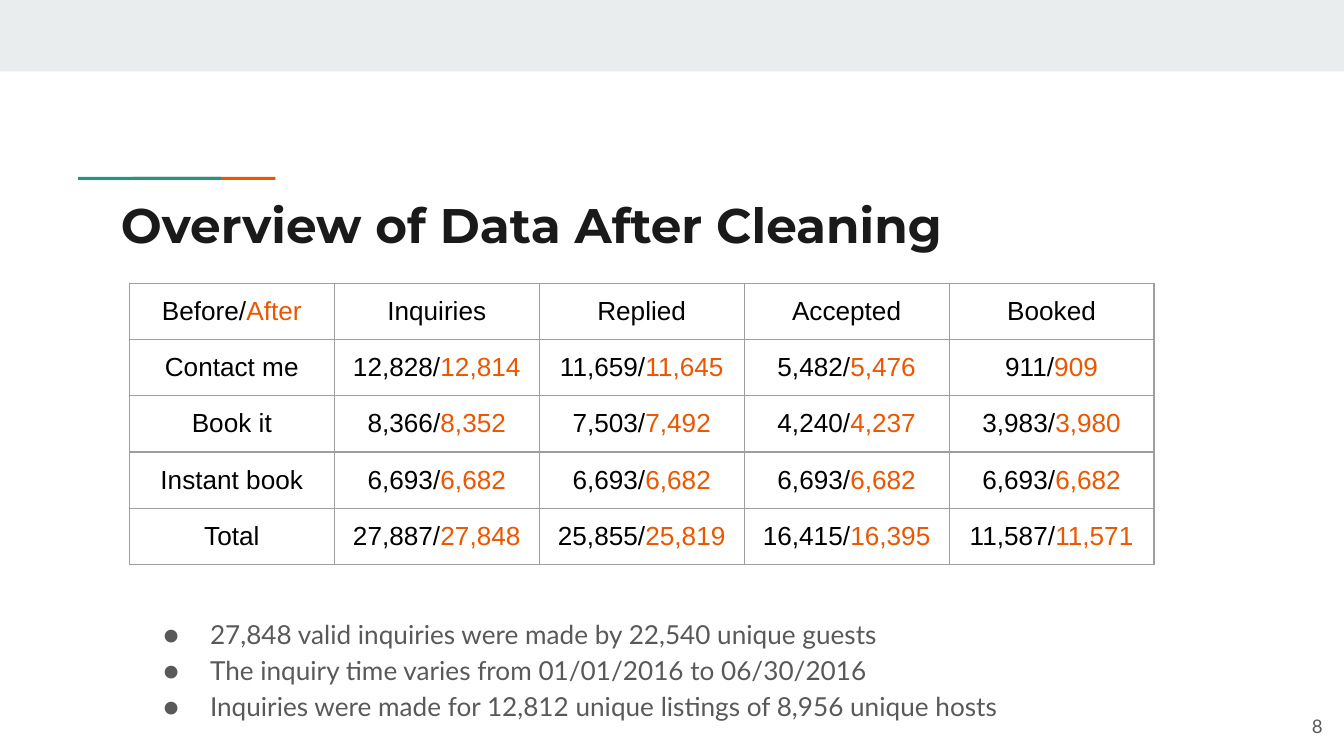
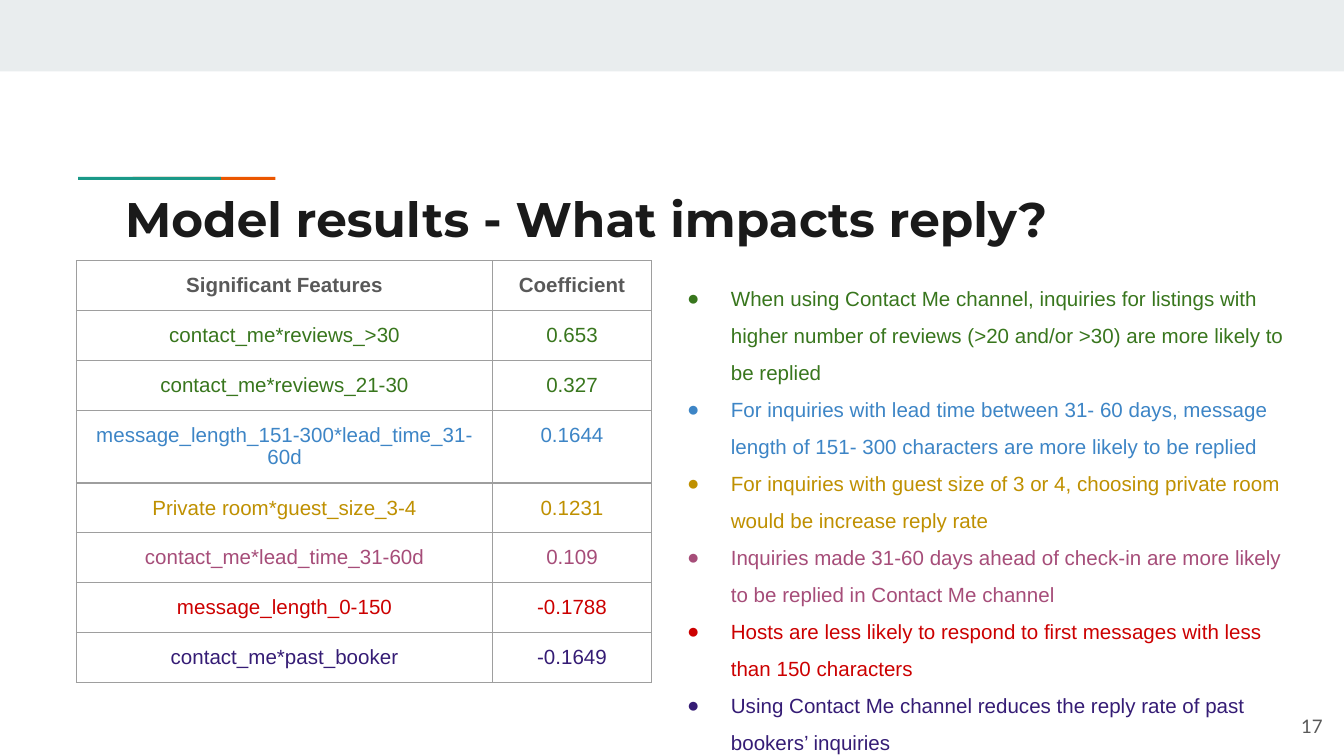
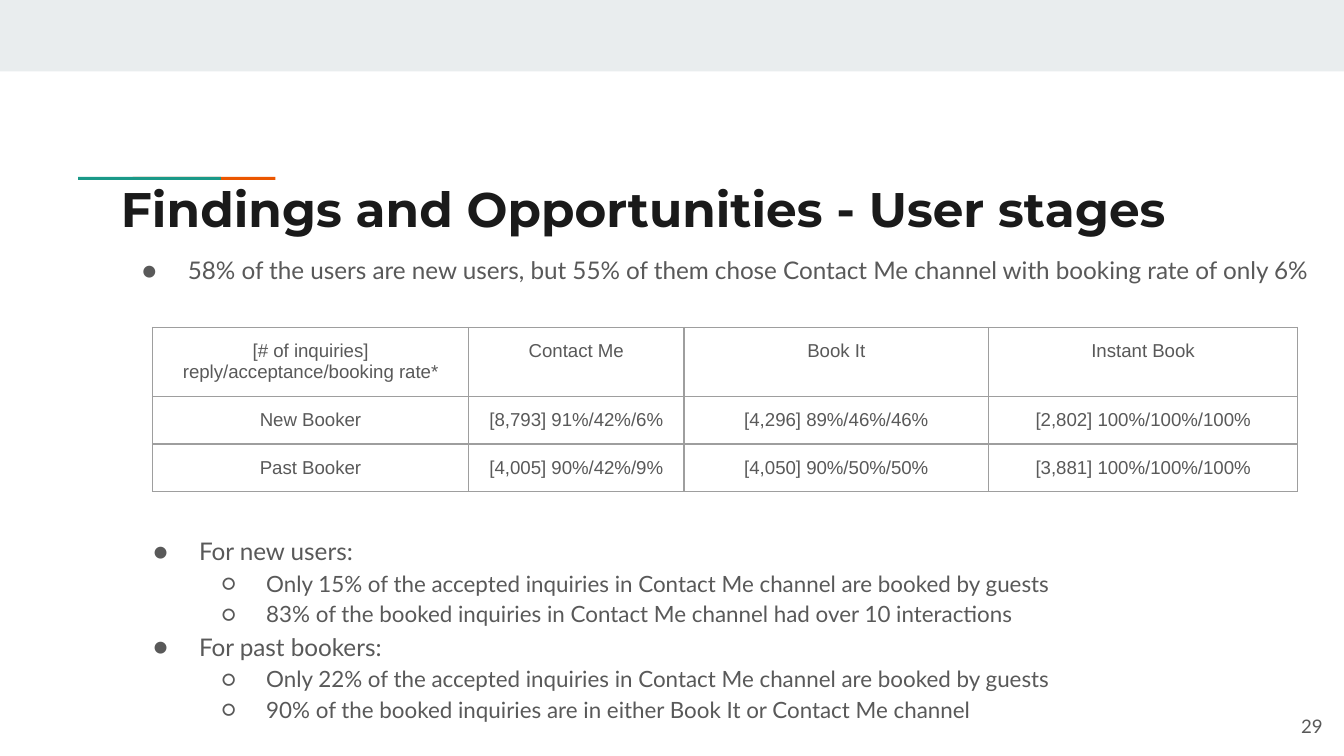
import pptx
import pptx.util
import pptx.dml.color
import pptx.enum.shapes
import pptx.enum.text
import pptx.oxml

Pt = pptx.util.Pt
RGBColor = pptx.dml.color.RGBColor
LEFT = pptx.enum.text.PP_ALIGN.LEFT
CENTER = pptx.enum.text.PP_ALIGN.CENTER
RIGHT = pptx.enum.text.PP_ALIGN.RIGHT

BAND = RGBColor(0xE9, 0xED, 0xEE)
ORANGE = RGBColor(0xEB, 0x56, 0x00)
TEAL = RGBColor(0x1A, 0x99, 0x88)
INK = RGBColor(0x1A, 0x1A, 0x1A)
BLACK = RGBColor(0x00, 0x00, 0x00)
GREY = RGBColor(0x59, 0x59, 0x59)
BORDER = RGBColor(0x9E, 0x9E, 0x9E)
GREEN = RGBColor(0x38, 0x76, 0x1D)
BLUE = RGBColor(0x3D, 0x85, 0xC6)
GOLD = RGBColor(0xBF, 0x90, 0x00)
PLUM = RGBColor(0xA6, 0x4D, 0x79)
RED = RGBColor(0xCC, 0x00, 0x00)
INDIGO = RGBColor(0x35, 0x1C, 0x75)

INSET = Pt(7.2)
NAMESPACE = 'xmlns:a="http://schemas.openxmlformats.org/drawingml/2006/main"'


def write_text(box, items, font, spacing=1.0, align=LEFT, bold=False, bullets=True):
    frame = box.text_frame
    frame.word_wrap = True
    frame.auto_size = pptx.enum.text.MSO_AUTO_SIZE.NONE
    frame.vertical_anchor = pptx.enum.text.MSO_ANCHOR.TOP
    frame.margin_left = frame.margin_right = INSET
    frame.margin_top = frame.margin_bottom = INSET
    frame.text = "\n".join(item[0] for item in items)
    for para, (text, level, size, colour) in zip(frame.paragraphs, items):
        para.level = level
        para.alignment = align
        para.line_spacing = spacing
        para.space_before = para.space_after = Pt(0)
        for span in para.runs:
            span.font.name = font
            span.font.size = Pt(size)
            span.font.bold = bold
            span.font.color.rgb = colour
        if bullets:
            properties = para._p.get_or_add_pPr()
            properties.set("marL", str(Pt(36 * (level + 1))))
            properties.set("indent", str(-Pt(18 + size / 2)))
            for part in (
                f'<a:buClr {NAMESPACE}><a:srgbClr val="{colour}"/></a:buClr>',
                f'<a:buFont {NAMESPACE} typeface="{font}"/>',
                f'<a:buChar {NAMESPACE} char="{"●○"[level]}"/>',
            ):
                properties.append(pptx.oxml.parse_xml(part))


def draw_table(page, left, top, widths, heights, rows, size):
    frame = page.shapes.add_table(len(rows), len(widths), Pt(left), Pt(top),
                                  Pt(sum(widths)), Pt(sum(heights)))
    table = frame.table
    table.first_row = table.horz_banding = False
    for column, width in zip(table.columns, widths):
        column.width = Pt(width)
    for row, height, contents in zip(table.rows, heights, rows):
        row.height = Pt(height)
        for cell, spans in zip(row.cells, contents):
            cell.margin_left = cell.margin_right = INSET
            cell.margin_top = cell.margin_bottom = INSET
            para = cell.text_frame.paragraphs[0]
            para.alignment = CENTER
            for text, colour, bold in spans:
                span = para.add_run()
                span.text = text
                span.font.name = "Arial"
                span.font.size = Pt(size)
                span.font.bold = bold
                span.font.color.rgb = colour
            properties = cell._tc.get_or_add_tcPr()
            for side in "LRTB":
                properties.append(pptx.oxml.parse_xml(
                    f'<a:ln{side} {NAMESPACE} w="{Pt(0.75)}"><a:solidFill>'
                    f'<a:srgbClr val="{BORDER}"/></a:solidFill></a:ln{side}>'))
            cell.fill.background()


deck = pptx.Presentation()
deck.slide_width = Pt(720)
deck.slide_height = Pt(405)

CONTENT, TITLE_ONLY = deck.slide_layouts[1], deck.slide_layouts[5]
pages = []
for layout, number, title, left, top, height in [
    (CONTENT, 8, "Overview of Data After Cleaning", 57.6, 97.2, 42.5),
    (TITLE_ONLY, 17, "Model results - What impacts reply?", 59.8, 94.3, 42.5),
    (CONTENT, 29, "Findings and Opportunities - User stages", 57.6, 88.6, 36.7),
]:
    page = deck.slides.add_slide(layout)
    pages.append(page)
    for x, y, width, depth, colour in [
        (0, 0, 720, 38.3, BAND),
        (71, 94.8, 76.5, 1.6, ORANGE),
        (41.8, 94.8, 76.5, 1.6, TEAL),
    ]:
        bar = page.shapes.add_shape(pptx.enum.shapes.MSO_SHAPE.RECTANGLE,
                                    Pt(x), Pt(y), Pt(width), Pt(depth))
        bar.shadow.inherit = False
        bar.fill.solid()
        bar.fill.fore_color.rgb = colour
        bar.line.fill.background()
    heading = page.shapes.title
    heading.left, heading.top = Pt(left), Pt(top)
    heading.width, heading.height = Pt(605.5), Pt(height)
    write_text(heading, [(title, 0, 26, INK)], "Montserrat", bold=True, bullets=False)
    footer = page.shapes.add_textbox(Pt(672.5), Pt(373.7), Pt(43.2), Pt(31))
    write_text(footer, [(str(number), 0, 10, GREY)], "Lato", align=RIGHT, bullets=False)
    footer.text_frame.vertical_anchor = pptx.enum.text.MSO_ANCHOR.MIDDLE

overview, model, findings = pages

counts = [
    ["Before/After", "Inquiries", "Replied", "Accepted", "Booked"],
    ["Contact me", "12,828/12,814", "11,659/11,645", "5,482/5,476", "911/909"],
    ["Book it", "8,366/8,352", "7,503/7,492", "4,240/4,237", "3,983/3,980"],
    ["Instant book"] + ["6,693/6,682"] * 4,
    ["Total", "27,887/27,848", "25,855/25,819", "16,415/16,395", "11,587/11,571"],
]
count_rows = []
for row in counts:
    cells = []
    for text in row:
        before, slash, after = text.partition("/")
        spans = [(before + slash, BLACK, False)]
        if after:
            spans.append((after, ORANGE, False))
        cells.append(spans)
    count_rows.append(cells)
draw_table(overview, 69.3, 151.7, [109.8] * 5, [30.1] * 5, count_rows, 14)

body = overview.placeholders[1]
body.left, body.top, body.width, body.height = Pt(69.3), Pt(321.8), Pt(605.5), Pt(42.5)
write_text(body, [(text, 0, 14, GREY) for text in [
    "27,848 valid inquiries were made by 22,540 unique guests",
    "The inquiry time varies from 01/01/2016 to 06/30/2016",
    "Inquiries were made for 12,812 unique listings of 8,956 unique hosts",
]], "Lato", 1.15)

features = [
    ("Significant Features", "Coefficient", GREY),
    ("contact_me*reviews_>30", "0.653", GREEN),
    ("contact_me*reviews_21-30", "0.327", GREEN),
    ("message_length_151-300*lead_time_31-60d", "0.1644", BLUE),
    ("Private room*guest_size_3-4", "0.1231", GOLD),
    ("contact_me*lead_time_31-60d", "0.109", PLUM),
    ("message_length_0-150", "-0.1788", RED),
    ("contact_me*past_booker", "-0.1649", INDIGO),
]
feature_rows = [[[(text, colour, colour == GREY)] for text in (feature, coefficient)]
                for feature, coefficient, colour in features]
draw_table(model, 41, 139.7, [223, 85], [26.6] * 3 + [39.1] + [26.6] * 4, feature_rows, 11)

insights = model.shapes.add_textbox(Pt(348.5), Pt(139.7), Pt(355), Pt(242.6))
write_text(insights, [(text, 0, 11, colour) for text, colour in [
    ("When using Contact Me channel, inquiries for listings with higher number of "
     "reviews (>20 and/or >30) are more likely to be replied", GREEN),
    ("For inquiries with lead time between 31- 60 days, message length of 151- 300 "
     "characters are more likely to be replied", BLUE),
    ("For inquiries with guest size of 3 or 4, choosing private room would be "
     "increase reply rate", GOLD),
    ("Inquiries made 31-60 days ahead of check-in are more likely to be replied in "
     "Contact Me channel", PLUM),
    ("Hosts are less likely to respond to first messages with less than 150 "
     "characters", RED),
    ("Using Contact Me channel reduces the reply rate of past bookers’ inquiries", INDIGO),
]], "Arial", 1.5)

summary = findings.shapes.add_textbox(Pt(57.6), Pt(127.4), Pt(651), Pt(23))
write_text(summary, [(
    "58% of the users are new users, but 55% of them chose Contact Me channel with "
    "booking rate of only 6%", 0, 13, GREY)], "Lato", 1.15)

rates = [
    ["[# of inquiries] reply/acceptance/booking rate*", "Contact Me", "Book It", "Instant Book"],
    ["New Booker", "[8,793] 91%/42%/6%", "[4,296] 89%/46%/46%", "[2,802] 100%/100%/100%"],
    ["Past Booker", "[4,005] 90%/42%/9%", "[4,050] 90%/50%/50%", "[3,881] 100%/100%/100%"],
]
rate_rows = [[[(text, GREY, False)] for text in row] for row in rates]
draw_table(findings, 81.7, 175.5, [169.3, 115.4, 163.2, 165.5], [36.7, 25.4, 25.4], rate_rows, 10)

body = findings.placeholders[1]
body.left, body.top, body.width, body.height = Pt(63.4), Pt(277.9), Pt(674.6), Pt(79.2)
write_text(body, [(text, level, 13 - level, GREY) for text, level in [
    ("For new users:", 0),
    ("Only 15% of the accepted inquiries in Contact Me channel are booked by guests", 1),
    ("83% of the booked inquiries in Contact Me channel had over 10 interactions", 1),
    ("For past bookers:", 0),
    ("Only 22% of the accepted inquiries in Contact Me channel are booked by guests", 1),
    ("90% of the booked inquiries are in either Book It or Contact Me channel", 1),
]], "Lato", 1.15)

deck.save("out.pptx")
